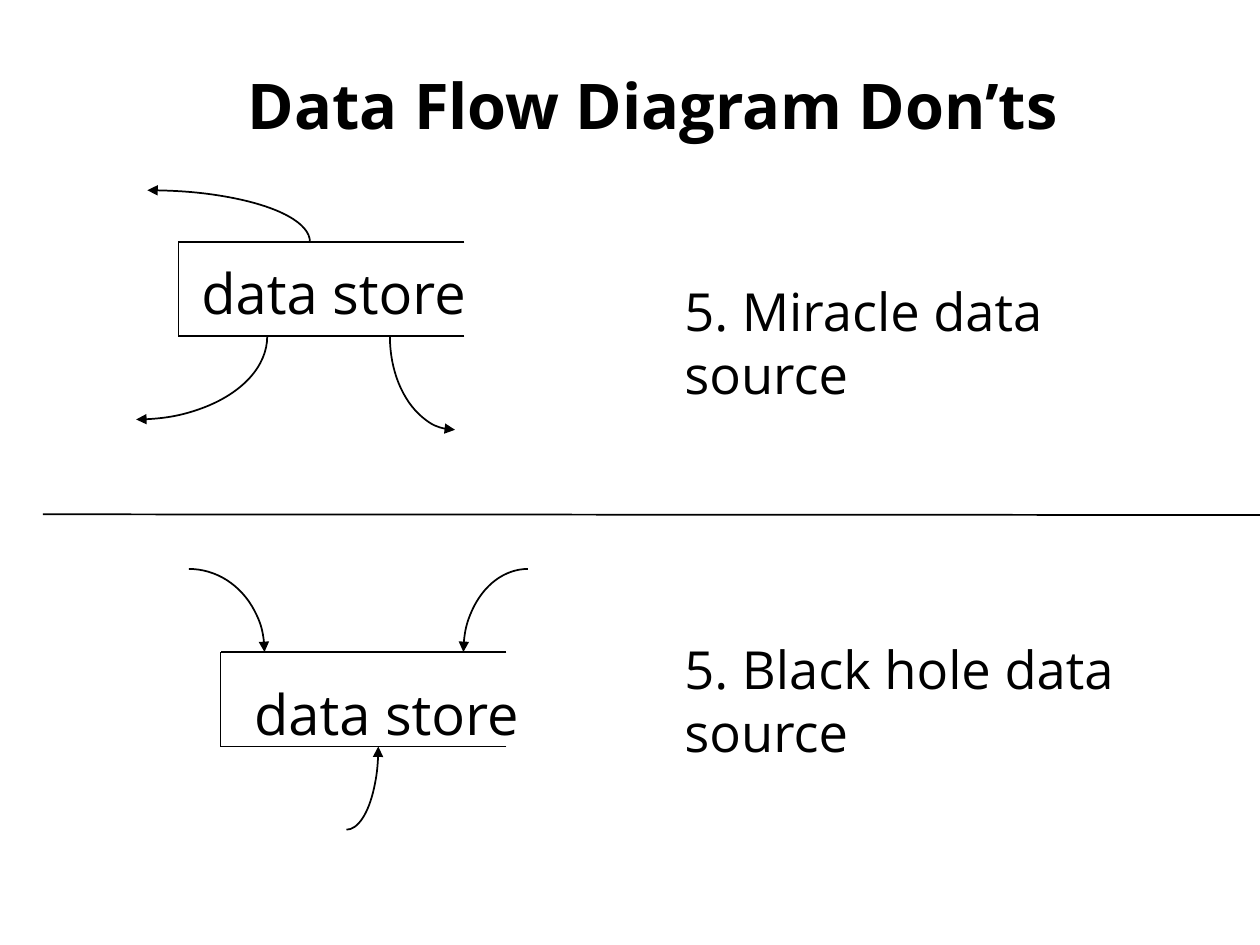
"""Build the slide on data flow diagram don'ts for data stores."""
from typing import NamedTuple

import pptx
import pptx.dml.color
import pptx.enum.shapes
import pptx.enum.text
import pptx.oxml
import pptx.oxml.ns
import pptx.util

Pt = pptx.util.Pt
FONT = "Open Sans"
BLACK = "000000"
STORE_WIDTH, STORE_HEIGHT = 163.4, 54


class Flow(NamedTuple):
    cx: float
    cy: float
    rx: float
    ry: float
    start: int
    arrow: str


class Store(NamedTuple):
    left: float
    top: float
    label_box: tuple[float, float, float, float]
    note: str
    note_box: tuple[float, float, float, float]
    flows: list[Flow]


STORES = [
    Store(102, 138.2, (108, 144, 200, 45.4),
          "5. Miracle data source", (384, 156.2, 312.5, 79.2),
          [Flow(77.8, 192.2, 74.9, 47.5, 0, "tailEnd"),
           Flow(260, 192.2, 37.2, 53.4, 90, "headEnd"),
           Flow(84.2, 138.2, 92.9, 29.5, 270, "headEnd")]),
    Store(126, 372.6, (138.2, 384.5, 180, 45.4),
          "5. Black hole data source", (384, 360.7, 356.4, 79.2),
          [Flow(198, 426.6, 18.2, 47.5, 0, "headEnd"),
           Flow(108, 372.6, 43.2, 47.5, 270, "tailEnd"),
           Flow(301.7, 372.6, 36.9, 47.5, 180, "headEnd")]),
]


def color(hex_value: str) -> pptx.dml.color.RGBColor:
    return pptx.dml.color.RGBColor.from_string(hex_value)


def style_line(sp) -> None:
    sp.line.color.rgb = color(BLACK)
    sp.line.width = Pt(1)


def add_text(s, text: str, box: tuple[float, float, float, float], *, size: float,
             bold: bool = False, before: float = 0, align: str = "LEFT",
             anchor: str = "TOP") -> None:
    tf = s.shapes.add_textbox(*map(Pt, box)).text_frame
    tf.word_wrap = True
    tf.vertical_anchor = getattr(pptx.enum.text.MSO_ANCHOR, anchor)
    p = tf.paragraphs[0]
    p.alignment = getattr(pptx.enum.text.PP_ALIGN, align)
    p.space_before = Pt(before)
    r = p.add_run()
    r.text = text
    r.font.name, r.font.size, r.font.bold = FONT, Pt(size), bold
    r.font.color.rgb = color(BLACK)


def add_line(s, x1: float, y1: float, x2: float, y2: float) -> None:
    sp = s.shapes.add_connector(pptx.enum.shapes.MSO_CONNECTOR.STRAIGHT,
                                *map(Pt, (x1, y1, x2, y2)))
    style_line(sp)
    pptx.oxml.ns.qn("a:effectLst")
    sp._element.spPr.append(pptx.oxml.parse_xml(
        f'<a:effectLst {pptx.oxml.ns.nsdecls("a")}/>'))


def add_flow(s, flow: Flow) -> None:
    box = (flow.cx - flow.rx, flow.cy - flow.ry, 2 * flow.rx, 2 * flow.ry)
    sp = s.shapes.add_shape(pptx.enum.shapes.MSO_SHAPE.ARC, *map(Pt, box))
    sp.shadow.inherit = False
    sp.fill.background()
    style_line(sp)
    for i, angle in enumerate((flow.start, (flow.start + 90) % 360)):
        sp.adjustments[i] = angle * 0.6
    sp.line._get_or_add_ln().append(pptx.oxml.parse_xml(
        f'<a:{flow.arrow} {pptx.oxml.ns.nsdecls("a")} type="triangle"/>'))


def add_store(s, store: Store) -> None:
    right, bottom = store.left + STORE_WIDTH, store.top + STORE_HEIGHT
    add_line(s, store.left, store.top, store.left, bottom)
    for y in (store.top, bottom):
        add_line(s, right, y, store.left, y)
    add_text(s, "data store", store.label_box, size=32, before=20)
    for flow in store.flows:
        add_flow(s, flow)
    add_text(s, store.note, store.note_box, size=30, before=18.7)


def main() -> None:
    prs = pptx.Presentation()
    prs.slide_width, prs.slide_height = Pt(720), Pt(540)
    s = prs.slides.add_slide(prs.slide_layouts[6])
    add_text(s, "Data Flow Diagram Don’ts", (54, 23.8, 638, 72), size=36,
             bold=True, align="CENTER", anchor="MIDDLE")
    add_line(s, 24.5, 293.9, 724.3, 294.3)
    for store in STORES:
        add_store(s, store)
    prs.save("out.pptx")


main()
